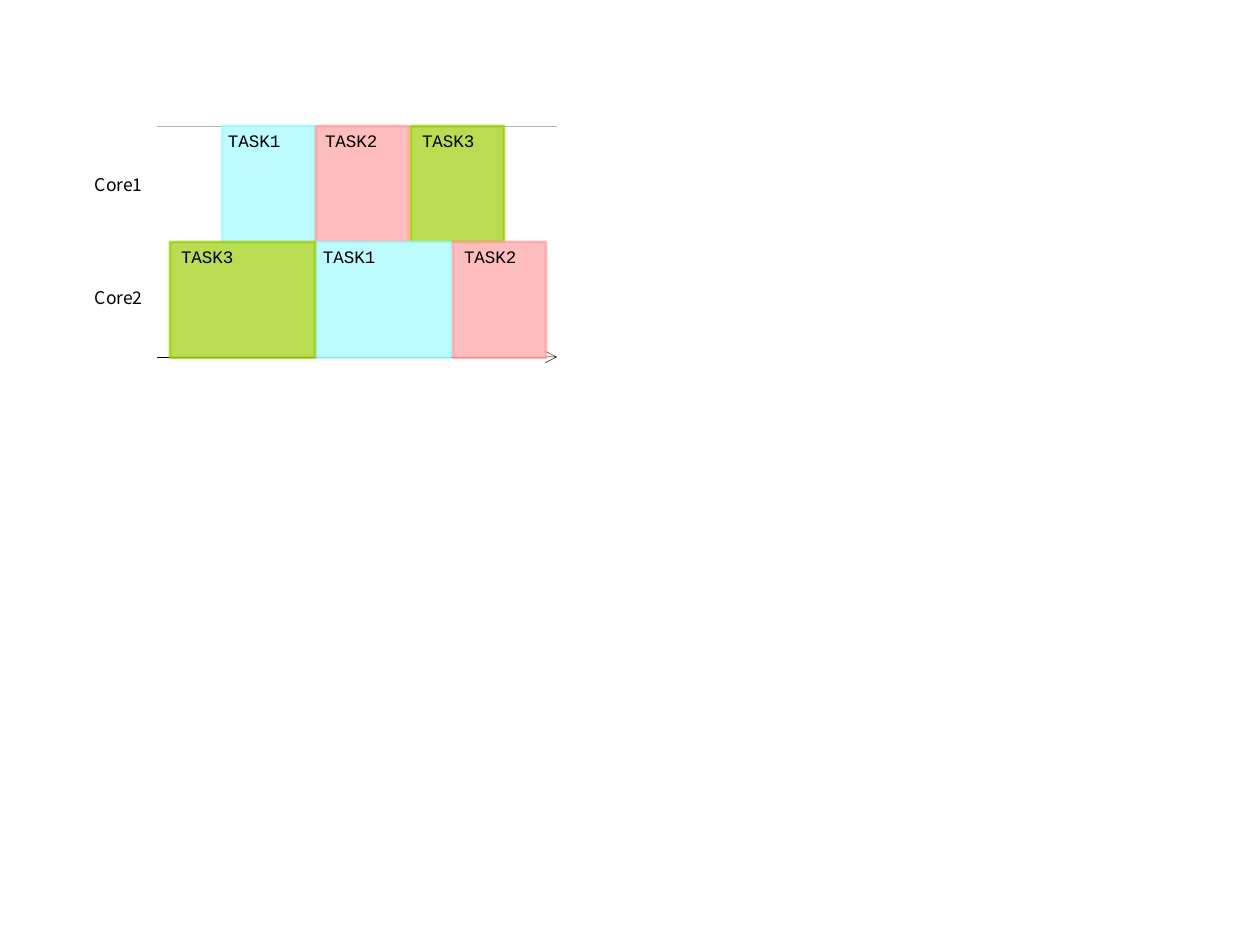
from lxml import etree
from pptx import Presentation
from pptx.dml.color import RGBColor
from pptx.enum.shapes import MSO_CONNECTOR, MSO_SHAPE
from pptx.enum.text import MSO_AUTO_SIZE
from pptx.oxml.ns import qn
from pptx.util import Pt

RECTANGLE = MSO_SHAPE.RECTANGLE
STRAIGHT = MSO_CONNECTOR.STRAIGHT
GROW = MSO_AUTO_SIZE.SHAPE_TO_FIT_TEXT

EMU_PER_PX = 914400 / 126
COLORS = {
    "TASK1": "9FFAFF",
    "TASK2": "FF9F9F",
    "TASK3": "99CC00",
    "text": "000000",
    "axis": "000000",
    "border": "B2B2B2",
}
MARGINS = {"margin_left": 13, "margin_right": 13, "margin_top": 6, "margin_bottom": 6}


def px(length):
    return round(length * EMU_PER_PX)


class Timeline:
    """Style and drawing methods for the schedule slide."""

    label_font = "Courier New"
    core_font = "Noto Sans CJK JP"
    text_size = Pt(10)
    fill_alpha = 68
    line_alpha = 69

    def __init__(self, slide):
        self.slide = slide

    def paint(self, fill, color, alpha=None):
        fill.solid()
        fill.fore_color.rgb = RGBColor.from_string(COLORS[color])
        if alpha is not None:
            # The public API has no transparency setting
            rgb = fill._xPr.find(qn("a:solidFill"))[0]
            etree.SubElement(rgb, qn("a:alpha"), val=str(alpha * 1000))

    def rule(self, left, right, y, color, arrow=False):
        rule = self.slide.shapes.add_connector(STRAIGHT, px(left), px(y), px(right), px(y))
        rule.line.width = Pt(0.25)
        self.paint(rule.line.fill, color)
        if arrow:
            etree.SubElement(rule.line._get_or_add_ln(), qn("a:tailEnd"), type="arrow")
        etree.SubElement(rule._element.spPr, qn("a:effectLst"))

    def text(self, wording, left, top, width, height, font, wrap, spacing=None):
        box = self.slide.shapes.add_textbox(px(left), px(top), px(width), px(height))
        frame = box.text_frame
        for name, margin in MARGINS.items():
            setattr(frame, name, px(margin))
        frame.word_wrap = wrap
        frame.auto_size = GROW
        paragraph = frame.paragraphs[0]
        paragraph.line_spacing = spacing
        run = paragraph.add_run()
        run.text = wording
        for name, value in {"name": font, "size": self.text_size}.items():
            setattr(run.font, name, value)
        run.font.color.rgb = RGBColor.from_string(COLORS["text"])

    def task(self, name, left, top, width, height, label_left, label_width):
        bar = self.slide.shapes.add_shape(RECTANGLE, px(left), px(top), px(width), px(height))
        bar.shadow.inherit = False
        self.paint(bar.fill, name, self.fill_alpha)
        bar.line.width = Pt(1.5)
        self.paint(bar.line.fill, name, self.line_alpha)
        self.text(name, label_left, top, label_width, 32, self.label_font, True, 0.9)

    def core(self, name, top):
        self.text(name, 82, top, 76, 34, self.core_font, False)


AXIS_LEFT, AXIS_RIGHT = 157, 557
TOP, ROW_HEIGHT = 126, 116
LABEL_WIDTHS = {"TASK1": 84, "TASK2": 84, "TASK3": 92}
# Each core: name, name top, tasks as (name, left, width, label left)
CORES = [
    ("Core1", 168, [("TASK1", 222, 93, 215), ("TASK2", 316, 93, 312), ("TASK3", 411, 93, 409)]),
    ("Core2", 281, [("TASK1", 316, 135, 310), ("TASK2", 453, 93, 451), ("TASK3", 170, 145, 168)]),
]


def main():
    deck = Presentation()
    deck.slide_width, deck.slide_height = px(1260), px(945)
    timeline = Timeline(deck.slides.add_slide(deck.slide_layouts[6]))

    # Upper border and time axis
    timeline.rule(AXIS_LEFT, AXIS_RIGHT, TOP, "border")
    timeline.rule(AXIS_LEFT, AXIS_RIGHT, TOP + len(CORES) * ROW_HEIGHT - 1, "axis", arrow=True)

    # Tasks on each core
    for row, (_, _, tasks) in enumerate(CORES):
        for task, left, width, label_left in tasks:
            timeline.task(task, left, TOP + row * ROW_HEIGHT, width, ROW_HEIGHT,
                          label_left, LABEL_WIDTHS[task])

    # Core names
    for core, name_top, _ in CORES:
        timeline.core(core, name_top)

    deck.save("out.pptx")


if __name__ == "__main__":
    main()
